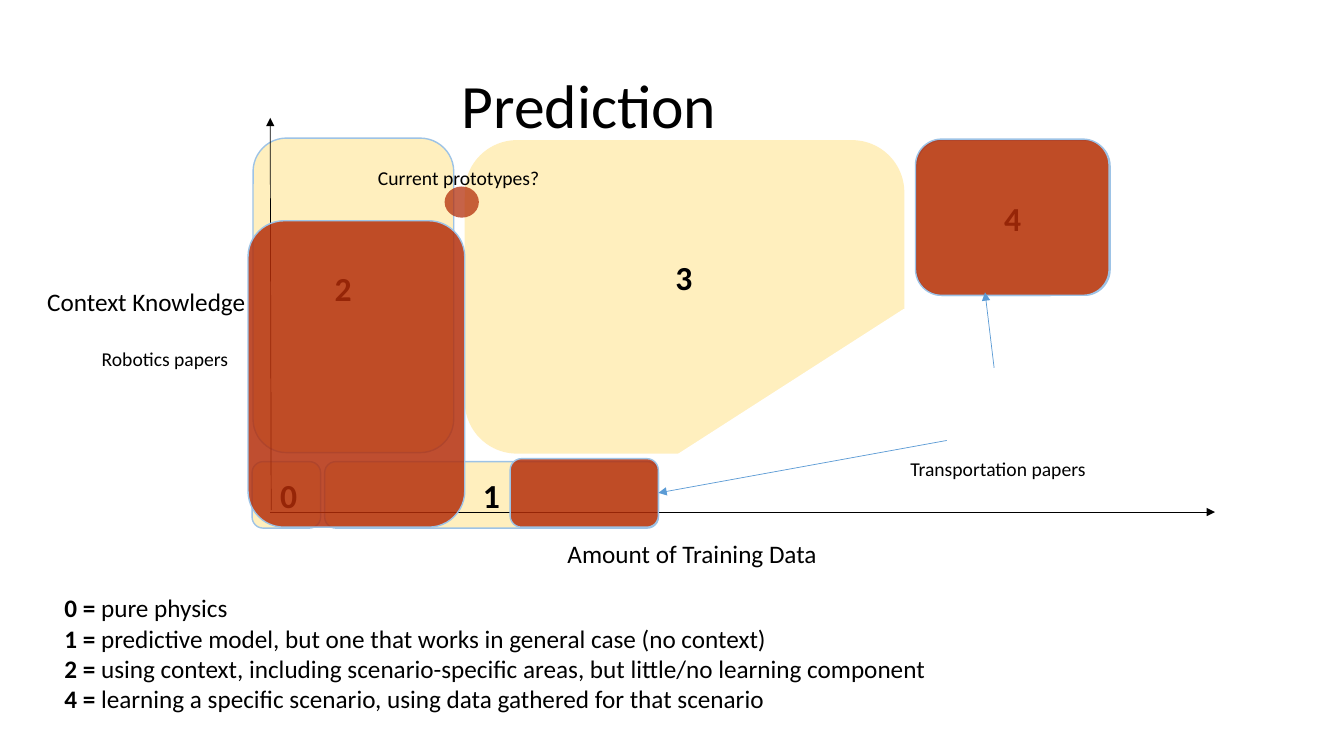
from lxml import etree
from pptx import Presentation
from pptx import util as u
from pptx.dml.color import RGBColor
from pptx.enum import shapes, text
from pptx.oxml.ns import qn

COLORS = {"ink": "000000", "paper": "FFFFFF", "pale": "FFE699",
          "papers": "B32D09", "outline": "9DC3E6", "arrow": "5B9BD5"}
FONT = "Calibri"
ROUNDED = shapes.MSO_SHAPE.ROUNDED_RECTANGLE


def color(name):
    """Return the named colour."""
    return RGBColor.from_string(COLORS[name])


def place(box, part):
    """Turn a part's offset and size inside a box into slide lengths."""
    left, top, width, height = part
    return [u.Inches(v) for v in (box[0] + left, box[1] + top, width, height)]


def add_area(slide, box, part, fill, opacity=100, line=None, kind=ROUNDED):
    """Add a filled shape with optional outline and transparency."""
    area = slide.shapes.add_shape(kind, *place(box, part))
    area.shadow.inherit = False
    area.fill.solid()
    area.fill.fore_color.rgb = color(fill)
    if opacity < 100:
        tint = area.fill._xPr.find(qn("a:solidFill"))[0]
        etree.SubElement(tint, qn("a:alpha"), val=str(opacity * 1000))
    if line:
        area.line.color.rgb = color(line)
        area.line.width = u.Pt(1)
    else:
        area.line.fill.background()
    return area


def add_arrow(slide, box, start, end, line):
    """Add a thin straight arrow between two offsets in a box."""
    points = [u.Inches(box[i] + point[i]) for point in (start, end) for i in (0, 1)]
    arrow = slide.shapes.add_connector(shapes.MSO_CONNECTOR.STRAIGHT, *points)
    arrow.line.color.rgb = color(line)
    arrow.line.width = u.Pt(0.5)
    etree.SubElement(arrow.line._get_or_add_ln(), qn("a:tailEnd"), type="triangle")
    etree.SubElement(arrow._element.spPr, qn("a:effectLst"))
    return arrow


def add_words(slide, box, part, paragraphs, size, wrap=False):
    """Add a text box whose paragraphs are lists of (words, bold) runs."""
    frame = slide.shapes.add_textbox(*place(box, part)).text_frame
    frame.word_wrap = wrap
    for index, runs in enumerate(paragraphs):
        paragraph = frame.add_paragraph() if index else frame.paragraphs[0]
        for words, bold in runs:
            run = paragraph.add_run()
            run.text = words
            run.font.name = FONT
            run.font.size = u.Pt(size)
            run.font.bold = bold
            run.font.color.rgb = color("ink")
    return frame


def draw_zones(slide, box):
    """Draw the pale zones and cut the corner off zone 3."""
    for part, line in [((0.01, 0.37, 1.99, 3.12), "outline"),
                       ((2.11, 0.39, 4.36, 3.11), None),
                       ((0.72, 3.58, 3.31, 0.66), "outline"),
                       ((0, 3.58, 0.68, 0.66), "outline"),
                       ((6.59, 0.39, 1.92, 1.54), "outline")]:
        add_area(slide, box, part, "pale", 63, line)
    corner = add_area(slide, box, (4.07, 2.07, 4.73, 1.54), "paper", line="paper",
                      kind=shapes.MSO_SHAPE.ISOSCELES_TRIANGLE)
    corner.adjustments[0] = 0.507


def draw_axes(slide, box):
    """Draw both axes, their titles and the zone numbers."""
    add_arrow(slide, box, (0.18, 4.08), (9.55, 4.08), "ink")
    add_arrow(slide, box, (0.19, 4.06), (0.18, 0.17), "ink")
    for title, part in [("Amount of Training Data", (3.03, 4.29, 2.71, 0.4)),
                        ("Context Knowledge", (-2.13, 1.79, 2.19, 0.4))]:
        add_words(slide, box, part, [[(title, False)]], 18)
    for number, left, top in [("0", 0.18, 3.66), ("1", 2.19, 3.66), ("2", 0.72, 1.61),
                              ("3", 4.1, 1.5), ("4", 7.36, 0.91)]:
        add_words(slide, box, (left, top, 0.37, 0.5), [[(number, True)]], 24)


def draw_papers(slide, box):
    """Mark where existing papers and prototypes lie."""
    for label, part in [("Robotics papers", (-1.59, 2.39, 1.47, 0.34)),
                        ("Transportation papers", (6.43, 3.48, 1.96, 0.34)),
                        ("Current prototypes?", (1.15, 0.6, 1.82, 0.34))]:
        add_words(slide, box, part, [[(label, False)]], 14)
    add_area(slide, box, (1.91, 0.85, 0.34, 0.31), "papers", 74,
             kind=shapes.MSO_SHAPE.OVAL)
    for part in [(6.58, 0.38, 1.92, 1.55), (-0.04, 1.19, 2.15, 3.04),
                 (2.56, 3.55, 1.47, 0.68)]:
        general_papers = add_area(slide, box, part, "papers", 84, "outline")
    to_general = add_arrow(slide, box, (6.89, 3.37), (4.03, 3.89), "arrow")
    to_general.end_connect(general_papers, 3)
    add_arrow(slide, box, (7.36, 2.65), (7.27, 1.9), "arrow")


def draw_legend(slide, box):
    """Explain the zone numbers."""
    meanings = [
        ("0 = ", "pure physics"),
        ("1 = ", "predictive model, but one that works in general case (no context)"),
        ("2 = ", "using context, including scenario-specific areas, "
                 "but little/no learning component"),
        ("4 = ", "learning a specific scenario, using data gathered for that scenario"),
    ]
    add_words(slide, box, (0, 0, *box[2:]),
              [[(number, True), (meaning, False)] for number, meaning in meanings],
              18, wrap=True)


def draw_title(slide, box):
    """Write the slide title, centred vertically in its box."""
    title = add_words(slide, box, (0, 0, *box[2:]), [[("Prediction", False)]], 44, wrap=True)
    title.vertical_anchor = text.MSO_ANCHOR.MIDDLE
    title.paragraphs[0].line_spacing = 0.9


def main():
    """Build the prediction slide and save it."""
    deck = Presentation()
    deck.slide_width, deck.slide_height = u.Inches(13.33), u.Inches(7.5)
    slide = deck.slides.add_slide(deck.slide_layouts[6])
    plot = (2.5, 1, 9.55, 4.69)
    draw_zones(slide, plot)
    draw_axes(slide, plot)
    draw_papers(slide, plot)
    draw_legend(slide, (0.54, 5.83, 12.06, 1.31))
    draw_title(slide, (4.48, 0.58, 2.88, 0.99))
    deck.save("out.pptx")


if __name__ == "__main__":
    main()
